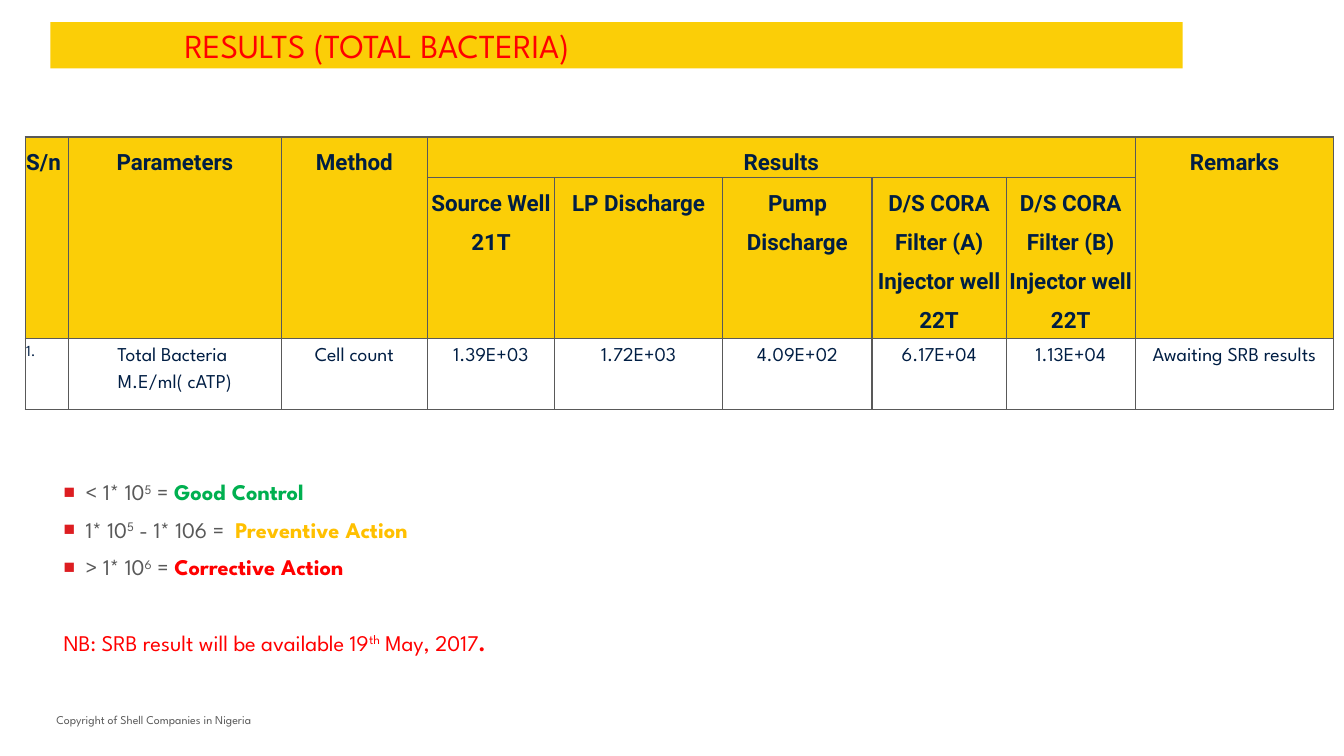
from lxml import etree
from pptx import Presentation
from pptx.dml.color import RGBColor
from pptx.enum.text import MSO_ANCHOR, MSO_AUTO_SIZE, PP_ALIGN
from pptx.oxml import parse_xml
from pptx.util import Pt

LEFT, CENTER, JUST = PP_ALIGN.LEFT, PP_ALIGN.CENTER, PP_ALIGN.JUSTIFY
MIDDLE, TOP = MSO_ANCHOR.MIDDLE, MSO_ANCHOR.TOP
FIT, FIXED = MSO_AUTO_SIZE.SHAPE_TO_FIT_TEXT, MSO_AUTO_SIZE.NONE
PX = 9144  # 100 px to the inch
NS = "http://schemas.openxmlformats.org/drawingml/2006/main"
SPARTAN, ROBOTO = "League Spartan", "Roboto"
HEX = {"yellow": "FBCE07", "red": "FF0000", "navy": "001E44", "gray": "595959",
       "green": "00B050", "amber": "FFC000", "bullet": "DD1D21"}
COLOR = {name: RGBColor.from_string(code) for name, code in HEX.items()}


def style(font, name, size, color=None, bold=False):
    font.name, font.size, font.bold = name, Pt(size), bold
    if color:
        font.color.rgb = COLOR[color]


def place(shape, left, top, width, height, bottom=0):
    shape.left, shape.top = left * PX, top * PX
    shape.width, shape.height = width * PX, height * PX
    frame = shape.text_frame
    frame.margin_left = frame.margin_right = frame.margin_top = 0
    frame.margin_bottom = bottom * PX
    return frame


deck = Presentation()
deck.slide_width, deck.slide_height = 1333 * PX, 750 * PX
slide = deck.slides.add_slide(deck.slide_layouts[1])

# Title bar
title = slide.shapes.title
title.fill.solid()
title.fill.fore_color.rgb = COLOR["yellow"]
frame = place(title, 50, 22, 1123, 46)
frame.auto_size, frame.vertical_anchor = FIXED, MIDDLE
par = frame.paragraphs[0]
par.text = "\tRESULTS (TOTAL BACTERIA)"
par.alignment = LEFT
tabs = etree.SubElement(par._p.get_or_add_pPr(), f"{{{NS}}}tabLst")
etree.SubElement(tabs, f"{{{NS}}}tab", pos=str(133 * PX), algn="l")
style(par.font, SPARTAN, 24, "red")

# Results table
WIDTHS = [43, 211, 145, 126, 167, 148, 133, 128, 197]
HEIGHTS = [39, 155, 54]
ROWS = [
    ["S/n", "Parameters", "Method", "Results", "", "", "", "", "Remarks"],
    ["", "", "", "Source Well\n21T", "LP Discharge", "Pump Discharge",
     "D/S CORA Filter (A)\nInjector well 22T",
     "D/S CORA Filter (B)\nInjector well 22T", ""],
    ["1.", "Total Bacteria \nM.E/ml( cATP)", "Cell count", "1.39E+03", "1.72E+03",
     "4.09E+02", "6.17E+04", "1.13E+04", "Awaiting SRB results"],
]
table = slide.shapes.add_table(len(ROWS), len(WIDTHS), 25 * PX, 136 * PX,
                               sum(WIDTHS) * PX, sum(HEIGHTS) * PX).table
table.first_row = table.horz_banding = False
for col, width in zip(table.columns, WIDTHS):
    col.width = width * PX
for row, height in zip(table.rows, HEIGHTS):
    row.height = height * PX

for r, words in enumerate(ROWS):
    head = r < 2
    for c, text in enumerate(words):
        cell = table.cell(r, c)
        cell.margin_left = cell.margin_right = PX
        cell.margin_top = cell.margin_bottom = 0
        for side in "LRTB":
            cell._tc.get_or_add_tcPr().append(parse_xml(
                f'<a:ln{side} xmlns:a="{NS}" w="12700"><a:solidFill>'
                f'<a:srgbClr val="{HEX["gray"]}"/></a:solidFill></a:ln{side}>'))
        if head:
            cell.fill.solid()
            cell.fill.fore_color.rgb = COLOR["yellow"]
        else:
            cell.fill.background()
        cell.text_frame.text = text
        size = 16 if head else 14 if c else 11
        for par in cell.text_frame.paragraphs:
            par.alignment = CENTER if c else JUST
            par.line_spacing = 1.5
            style(par.font, ROBOTO if head else SPARTAN, size, "navy", head)

for c in (0, 1, 2, 8):
    table.cell(0, c).merge(table.cell(1, c))
table.cell(0, 3).merge(table.cell(0, 7))

# Control limits and note: text, color, bold, raised
LINES = [
    [("< 1* 10", "gray", False, False), ("5", "gray", False, True),
     (" = ", "gray", False, False), ("Good Control", "green", True, False)],
    [("1* 10", "gray", False, False), ("5", "gray", False, True),
     (" - 1* 106 =  ", "gray", False, False), ("Preventive Action", "amber", True, False)],
    [("> 1* 10", "gray", False, False), ("6", "gray", False, True),
     (" = ", "gray", False, False), ("Corrective Action", "red", True, False)],
    [("NB: SRB result will be available 19", "red", False, False),
     ("th", "red", False, True), (" May, 2017", "red", False, False),
     (".", "red", True, False)],
]
frame = place(slide.placeholders[1], 63, 464, 1202, 188)
frame.auto_size, frame.vertical_anchor = FIT, TOP
for i, runs in enumerate(LINES):
    note = i == len(LINES) - 1
    par = frame.add_paragraph() if i else frame.paragraphs[0]
    par.alignment, par.line_spacing = LEFT, 1.4
    par.space_before = Pt(27 if note else 0)
    props = par._p.get_or_add_pPr()
    indent = 0 if note else 22 * PX
    props.set("marL", str(indent))
    props.set("indent", str(-indent))
    if note:
        etree.SubElement(props, f"{{{NS}}}buNone")
    else:
        tint = etree.SubElement(props, f"{{{NS}}}buClr")
        etree.SubElement(tint, f"{{{NS}}}srgbClr", val=HEX["bullet"])
        etree.SubElement(props, f"{{{NS}}}buSzPct", val="85000")
        etree.SubElement(props, f"{{{NS}}}buChar", char="■")
    style(par.font, SPARTAN, 16)
    for text, color, bold, raised in runs:
        run = par.add_run()
        run.text = text
        run.font.color.rgb, run.font.bold = COLOR[color], bold
        if raised:
            run._r.get_or_add_rPr().set("baseline", "30000")

# Footer
foot = slide.shapes.add_textbox(0, 0, PX, PX)
frame = place(foot, 56, 707, 367, 26, bottom=5)
frame.word_wrap = False
par = frame.paragraphs[0]
par.text = "Copyright of Shell Companies in Nigeria"
style(par.font, SPARTAN, 8.5, "gray")

deck.save("out.pptx")
